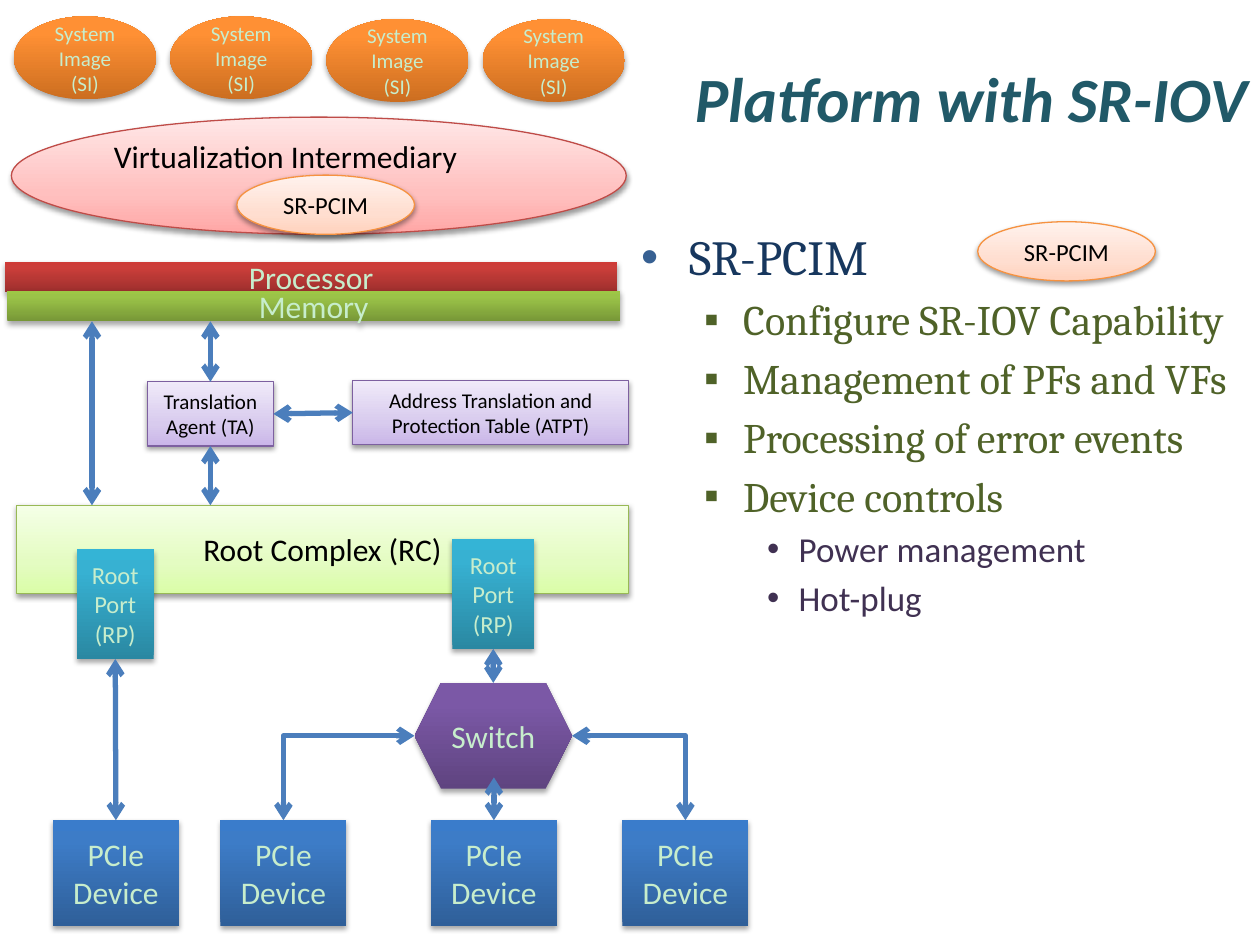
from collections import namedtuple
from copy import deepcopy

from lxml.etree import SubElement
from pptx import Presentation
from pptx.dml.color import RGBColor
from pptx.enum.shapes import MSO_CONNECTOR, MSO_SHAPE
from pptx.enum.text import MSO_ANCHOR, PP_ALIGN
from pptx.oxml.ns import qn
from pptx.util import Inches, Pt

UNIT = Inches(0.1)
COLUMNS, ROWS = 100, 75

BLACK = RGBColor(0x00, 0x00, 0x00)
MINT = RGBColor(0xC7, 0xED, 0xCC)
TEAL = RGBColor(0x21, 0x59, 0x68)
NAVY = RGBColor(0x17, 0x37, 0x5E)
BULLET_BLUE = RGBColor(0x37, 0x60, 0x92)
OLIVE = RGBColor(0x4F, 0x62, 0x28)
PLUM = RGBColor(0x40, 0x31, 0x52)
ARROW_BLUE = RGBColor(0x4B, 0x7E, 0xBC)

Style = namedtuple("Style", "shades middle outline ink")
Anchor = namedtuple("Anchor", "x y shape site")


def solid(*shades):
    return Style([RGBColor.from_string(shade) for shade in shades], 0.8, None, MINT)


def tint(outline, *shades):
    colours = [RGBColor.from_string(shade) for shade in shades]
    return Style(colours, 0.35, RGBColor.from_string(outline), BLACK)


ORANGE = solid("CC6E20", "FF9034", "FF9136")
RED = solid("9C2F2D", "CB3E3A", "CE3B37")
GREEN = solid("779737", "9BC348", "9DC746")
AQUA = solid("2A88A2", "37B1D2", "34B4D6")
BLUE = solid("2F5F99", "3D7CC7", "3A7CCB")
PURPLE = solid("5F4480", "7B58A6", "7C57A8")
PALE_GREEN = tint("98B955", "DAFDA7", "E4FCC2", "F5FFE7")
PALE_RED = tint("BF4C48", "FFA6A5", "FFC0BF", "FFE7E7")
PALE_PURPLE = tint("7D60A0", "C9B5E8", "D8CBEE", "F0EAF9")
PALE_ORANGE = tint("F69240", "FFD2BD", "FFDED0", "FFF2ED")


class Box(namedtuple("Box", "left top width height")):
    def within(self, column, row, width, height):
        return Box(self.left + column, self.top + row, width, height)

    def lengths(self):
        return [int(value * UNIT) for value in self]


def add_shadow(shape, style):
    shape.shadow.inherit = False
    effects = shape._element.spPr.find(qn("a:effectLst"))
    distance, alpha = (1.8, 35) if style.outline is None else (1.6, 38)
    shadow = SubElement(effects, qn("a:outerShdw"), blurRad=str(Pt(3.1)),
                        dist=str(Pt(distance)), dir="5400000", rotWithShape="0")
    colour = SubElement(shadow, qn("a:srgbClr"), val=str(BLACK))
    SubElement(colour, qn("a:alpha"), val=str(alpha * 1000))


def add_node(page, box, text, style, size, kind=MSO_SHAPE.RECTANGLE):
    shape = page.shapes.add_shape(kind, *box.lengths())
    shape.fill.gradient()
    shape.fill.gradient_angle = 90
    stops = shape._element.spPr.find(".//" + qn("a:gsLst"))
    stops.append(deepcopy(stops[0]))
    for stop, colour, position in zip(shape.fill.gradient_stops, style.shades, (0, style.middle, 1)):
        stop.color.rgb = colour
        stop.position = position
    if style.outline is None:
        shape.line.fill.background()
    else:
        shape.line.color.rgb = style.outline
        shape.line.width = Pt(0.75)
    add_shadow(shape, style)
    frame = shape.text_frame
    frame.word_wrap = True
    frame.vertical_anchor = MSO_ANCHOR.MIDDLE
    frame.text = text
    for para in frame.paragraphs:
        para.alignment = PP_ALIGN.CENTER
        format_runs(para, "Calibri", size, style.ink)
    return shape


def format_runs(para, face, size, colour):
    for span in para.runs:
        span.font.name = face
        span.font.size = Pt(size)
        span.font.color.rgb = colour


def side(shape, site, join=True):
    across, down = ((0.5, 0), (0, 0.5), (0.5, 1), (1, 0.5))[site]
    return Anchor(int(shape.left + shape.width * across), int(shape.top + shape.height * down),
                  shape if join else None, site)


def point(column, row):
    return Anchor(int(column * UNIT), int(row * UNIT), None, 0)


def add_link(page, start, finish, bent=False):
    kind = MSO_CONNECTOR.ELBOW if bent else MSO_CONNECTOR.STRAIGHT
    link = page.shapes.add_connector(kind, start.x, start.y, finish.x, finish.y)
    if start.shape is not None:
        link.begin_connect(start.shape, start.site)
    if finish.shape is not None:
        link.end_connect(finish.shape, finish.site)
    properties = link._element.spPr
    if bent:
        properties.find(qn("a:prstGeom")).set("prst", "bentConnector2")
    link.line.color.rgb = ARROW_BLUE
    link.line.width = Pt(3)
    line = properties.find(qn("a:ln"))
    for end in ("a:headEnd", "a:tailEnd"):
        SubElement(line, qn(end), type="arrow")
    SubElement(properties, qn("a:effectLst"))


def add_title(page, box):
    frame = page.shapes.add_textbox(*box.lengths()).text_frame
    frame.word_wrap = True
    frame.vertical_anchor = MSO_ANCHOR.MIDDLE
    frame.text = "Platform with SR-IOV"
    para = frame.paragraphs[0]
    para.alignment = PP_ALIGN.RIGHT
    format_runs(para, "Calibri", 36, TEAL)
    para.runs[0].font.bold = True
    para.runs[0].font.italic = True


def add_outline(page, box):
    levels = [
        (0.38, 0.38, "•", BULLET_BLUE, "Cambria", 28, NAVY),
        (0.81, 0.31, "▪", OLIVE, "Cambria", 24, OLIVE),
        (1.25, 0.25, "•", PLUM, "Calibri", 20, PLUM),
    ]
    lines = [(0, "SR-PCIM"), (1, "Configure SR-IOV Capability"), (1, "Management of PFs and VFs"),
             (1, "Processing of error events"), (1, "Device controls"),
             (2, "Power management"), (2, "Hot-plug")]
    frame = page.shapes.add_textbox(*box.lengths()).text_frame
    frame.word_wrap = True
    frame.text = "\n".join(text for _, text in lines)
    for index, (para, (level, _)) in enumerate(zip(frame.paragraphs, lines)):
        margin, hanging, mark, mark_colour, face, size, colour = levels[level]
        para.level = level
        properties = para._p.get_or_add_pPr()
        properties.set("marL", str(Inches(margin)))
        properties.set("indent", str(-Inches(hanging)))
        SubElement(SubElement(properties, qn("a:buClr")), qn("a:srgbClr"), val=str(mark_colour))
        SubElement(properties, qn("a:buFont"), typeface="Arial")
        SubElement(properties, qn("a:buChar"), char=mark)
        if index:
            para.space_before = Pt(size * 0.2)
        format_runs(para, face, size, colour)
    add_node(page, box.within(27.7, 0.1, 14.1, 4.7), "SR-PCIM", PALE_ORANGE, 14, MSO_SHAPE.OVAL)


def add_system_images(page, box):
    for index in range(4):
        place = box.within(index * 12.4, index // 2 * 0.2, 11.3, 6.6)
        add_node(page, place, "System Image (SI)", ORANGE, 12, MSO_SHAPE.OVAL)


def add_intermediary(page, box):
    oval = add_node(page, box, "Virtualization Intermediary", PALE_RED, 18, MSO_SHAPE.OVAL)
    oval.text_frame.vertical_anchor = MSO_ANCHOR.TOP
    oval.text_frame.margin_top = Inches(0.02)
    oval.text_frame.paragraphs[0].alignment = PP_ALIGN.LEFT
    add_node(page, box.within(17.9, 4.6, 14.1, 4.7), "SR-PCIM", PALE_ORANGE, 14, MSO_SHAPE.OVAL)


def add_processor_and_memory(page, box):
    add_node(page, box.within(0, 0, 48.6, 2.4), "Processor", RED, 18)
    add_node(page, box.within(0.2, 2.3, 48.6, 2.4), "Memory", GREEN, 18)


def add_translation(page, box):
    agent = add_node(page, box.within(10.4, 4.8, 10, 5.1), "Translation Agent (TA)", PALE_PURPLE, 12)
    table = add_node(page, box.within(26.7, 4.7, 21.9, 5.1),
                     "Address Translation and Protection Table (ATPT)", PALE_PURPLE, 12)
    bottom = box.top + box.height
    add_link(page, point(box.left + 6, box.top), point(box.left + 6, bottom))
    add_link(page, point(box.left + 15.4, box.top), side(agent, 0))
    add_link(page, side(agent, 2), point(box.left + 15.4, bottom))
    add_link(page, side(table, 1), side(agent, 3))


def add_root_complex(page, box):
    add_node(page, box, "Root Complex (RC)", PALE_GREEN, 18)
    return [add_node(page, box.within(*place), "Root\nPort (RP)", AQUA, 14)
            for place in ((4.8, 3.5, 6.1, 8.7), (34.6, 2.7, 6.5, 8.7))]


def add_devices(page, box, ports):
    switch = add_node(page, box.within(28.7, 0, 12.5, 8.4), "Switch", PURPLE, 18, MSO_SHAPE.HEXAGON)
    devices = [add_node(page, box.within(column, 10.9, 10, 8.4), "PCIe Device", BLUE, 18)
               for column in (0, 13.3, 30, 45.2)]
    tops = [side(device, 0) for device in devices]
    add_link(page, side(ports[0], 2), tops[0])
    add_link(page, side(ports[1], 2), side(switch, 0, join=False))
    add_link(page, point(box.left + 35, box.top + 7.5), tops[2])
    for site, top in ((1, tops[1]), (3, tops[3])):
        add_link(page, side(switch, site, join=False), top._replace(shape=None), bent=True)


def main():
    deck = Presentation()
    deck.slide_width, deck.slide_height = COLUMNS * UNIT, ROWS * UNIT
    page = deck.slides.add_slide(deck.slide_layouts[6])
    add_title(page, Box(5, 3, 95, 9.5))
    add_outline(page, Box(49.9, 17.5, 50.1, 57.5))
    add_system_images(page, Box(1.1, 1.3, 48.5, 6.8))
    add_intermediary(page, Box(0.9, 9.3, 48.8, 9.3))
    add_processor_and_memory(page, Box(0.4, 20.8, 48.8, 4.7))
    ports = add_root_complex(page, Box(1.3, 40.1, 48.6, 7))
    add_translation(page, Box(1.3, 25.5, 48.6, 14.6))
    add_devices(page, Box(4.2, 54.2, 55.2, 19.3), ports)
    deck.save("out.pptx")


if __name__ == "__main__":
    main()
